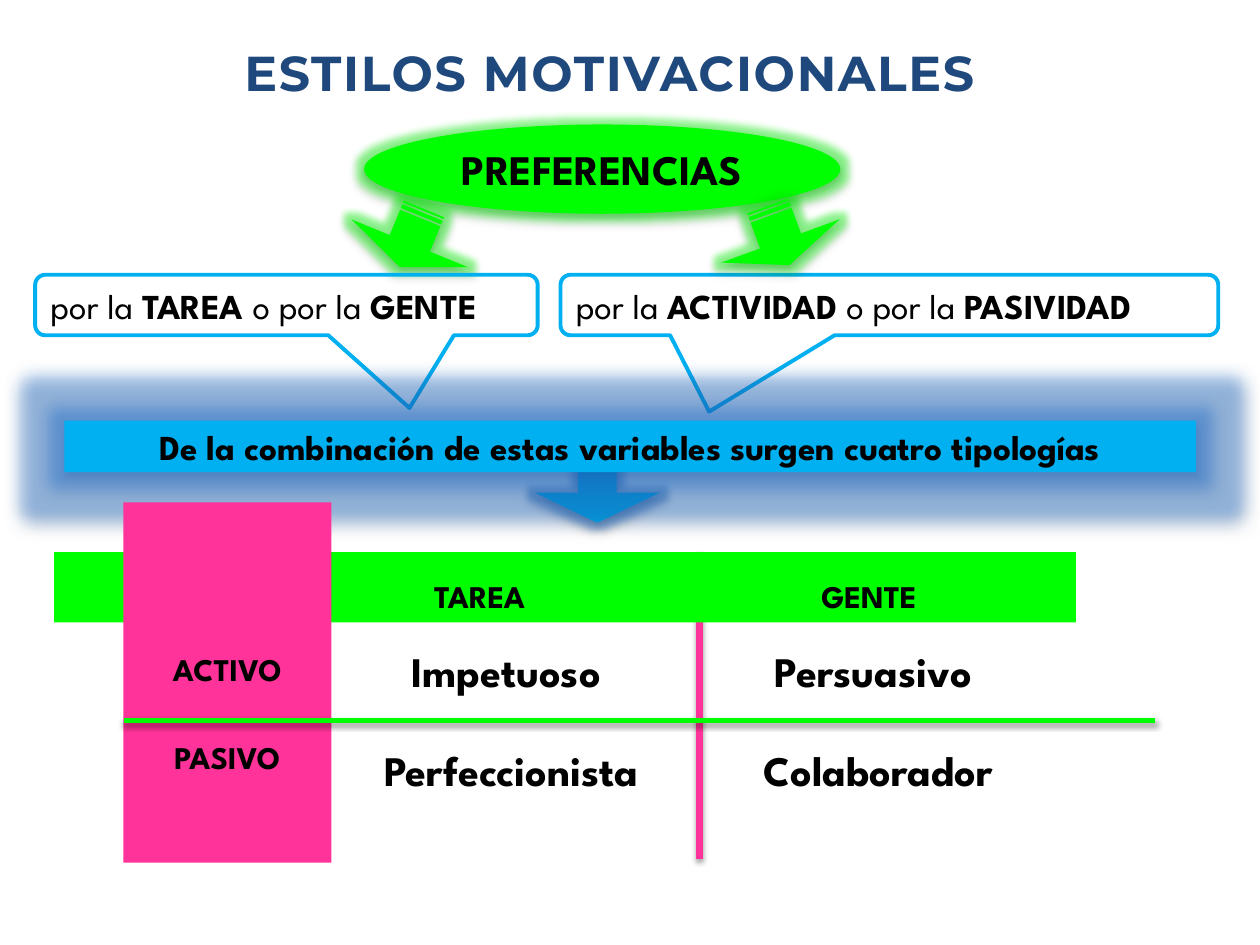
import pptx
import pptx.dml.color
import pptx.enum.shapes
import pptx.enum.text
import pptx.oxml
import pptx.oxml.ns
import pptx.util

Cm = pptx.util.Cm
Pt = pptx.util.Pt
SHAPE = pptx.enum.shapes.MSO_SHAPE
ANCHOR = pptx.enum.text.MSO_ANCHOR
ALIGN = pptx.enum.text.PP_ALIGN
COLORS = {"green": "00FF00", "blue": "00B0F0", "pink": "FF3399", "navy": "1F497D",
          "black": "000000", "blue glow": "1F6FCF"}


def rgb(name):
    return pptx.dml.color.RGBColor.from_string(COLORS[name])


def write(box, paragraphs, size=18, font="League Spartan", color="black",
          align=ALIGN.CENTER, anchor=ANCHOR.TOP, wrap=True, **spacing):
    """Fill a box; each paragraph is a list of (text, bold) spans."""
    frame = box.text_frame
    frame.word_wrap = wrap
    frame.vertical_anchor = anchor
    for index, spans in enumerate(paragraphs):
        paragraph = frame.add_paragraph() if index else frame.paragraphs[0]
        paragraph.alignment = align
        for name, value in spacing.items():
            if index or name != "space_before":
                setattr(paragraph, name, value)
        for text, bold in spans:
            span = paragraph.add_run()
            span.text = text
            for name, value in {"size": Pt(size), "name": font, "bold": bold}.items():
                setattr(span.font, name, value)
            span.font.color.rgb = rgb(color)


deck = pptx.Presentation()
deck.slide_width, deck.slide_height = Cm(25.4), Cm(19.05)
page = deck.slides.add_slide(deck.slide_layouts[6])
effects = []  # (shape, glow colour, glow radius, shadow blur, distance, opacity)

title = page.shapes.add_textbox(Cm(2.69), Cm(0.74), Cm(19.2), Cm(1.45))
write(title, [[("ESTILOS MOTIVACIONALES", True)]], 28, "Montserrat", "navy")
title.text_frame.paragraphs[0].runs[0].font._element.set("spc", "100")

# Preferences, arrows, callouts and the summary bar, from back to front
GLOWING = {"green": ("green", 8), "blue": ("blue glow", 8)}
STRIPED = SHAPE.STRIPED_RIGHT_ARROW
CALLOUT = SHAPE.ROUNDED_RECTANGULAR_CALLOUT
flow = [
    (SHAPE.OVAL, 7.34, 2.51, 9.6, 1.8, 0, [], "green", [("PREFERENCIAS", True)], 24),
    (STRIPED, 7.67, 3.53, 1.27, 2.54, 112.3, [0.345, 0.409], "green", [], 0),
    (STRIPED, 11.43, 8.66, 1.22, 2.54, 90, [0.306, 0.5], "blue", [], 0),
    (CALLOUT, 0.71, 5.54, 10.13, 1.22, 0, [0.245, 1.701, 0.167], None,
     [("por la ", False), ("TAREA ", True), ("o por la ", False), ("GENTE", True)], 20),
    (CALLOUT, 11.3, 5.54, 13.26, 1.22, 0, [-0.274, 1.762, 0.167], None,
     [("por la ", False), ("ACTIVIDAD", True), (" o por la ", False),
      ("PASIVIDAD", True)], 20),
    (SHAPE.RECTANGLE, 1.3, 8.48, 22.81, 1.04, 0, [], "blue",
     [("De la combinación de estas variables surgen cuatro tipologías", True)], 20),
    (STRIPED, 15.06, 3.48, 1.27, 2.54, 69.9, [0.345, 0.409], "green", [], 0),
]
for kind, left, top, width, height, turn, adjust, fill, spans, size in flow:
    shape = page.shapes.add_shape(kind, Cm(left), Cm(top), Cm(width), Cm(height))
    shape.shadow.inherit = False
    shape.rotation = turn
    for index, value in enumerate(adjust):
        shape.adjustments[index] = value
    if fill:
        shape.fill.solid()
        shape.fill.fore_color.rgb = rgb(fill)
        shape.line.fill.background()
        glow, radius = GLOWING[fill]
        effects.append((shape, glow, 18 if kind == SHAPE.RECTANGLE else radius,
                        3.5, 2.2, 32))
    else:
        shape.fill.background()
        shape.line.color.rgb = rgb("blue")
        shape.line.width = Pt(2.25)
    if spans:
        write(shape, [spans], size, anchor=ANCHOR.MIDDLE, wrap=bool(fill),
              align=ALIGN.CENTER if fill else ALIGN.LEFT)


# Matrix of the four types
def add_rule(color, width, *ends):
    rule = page.shapes.add_connector(pptx.enum.shapes.MSO_CONNECTOR.STRAIGHT,
                                     *[Cm(end) for end in ends])
    rule.line.color.rgb = rgb(color)
    rule.line.width = Pt(width)
    effects.append((rule, None, 0, 3.1, 1.8, 35))


add_rule("pink", 4.5, 14.1, 11.13, 14.1, 17.32)
for name, left, top, width in [("Impetuoso", 7.7, 12.73, 5),
                               ("Persuasivo", 14.1, 12.73, 7.01),
                               ("Perfeccionista", 6.71, 14.73, 7.19),
                               ("Colaborador", 14.3, 14.73, 6.81)]:
    box = page.shapes.add_textbox(Cm(left), Cm(top), Cm(width), Cm(1.33))
    write(box, [[(name, True)]], 24, line_spacing=1.15, space_after=Pt(10))

bands = []
for color, left, top, width, height in [("green", 1.09, 11.13, 20.6, 1.42),
                                        ("pink", 2.49, 10.13, 4.19, 7.26)]:
    band = page.shapes.add_shape(SHAPE.RECTANGLE, Cm(left), Cm(top), Cm(width), Cm(height))
    band.shadow.inherit = False
    band.fill.solid()
    band.fill.fore_color.rgb = rgb(color)
    band.line.fill.background()
    bands.append(band)
header, side = bands

tabs = pptx.oxml.parse_xml(f"<a:tabLst {pptx.oxml.ns.nsdecls('a')}>" + "".join(
    f'<a:tab pos="{Cm(stop)}" algn="ctr"/>' for stop in (8.33, 16.18)) + "</a:tabLst>")
header.text_frame.paragraphs[0]._p.get_or_add_pPr().append(tabs)
write(header, [[("\tTAREA\tGENTE", True)]], align=ALIGN.LEFT, line_spacing=1.5)

side.text_frame.margin_top = Cm(2.97)
write(side, [[("ACTIVO", True)], [("PASIVO", True)]], space_before=Pt(29))
add_rule("green", 3, 23.29, 14.53, 2.49, 14.53)

for shape, glow, radius, blur, distance, opacity in effects:
    properties = shape._element.spPr
    for old in properties.findall(pptx.oxml.ns.qn("a:effectLst")):
        properties.remove(old)
    halo = (f'<a:glow rad="{Pt(radius)}"><a:srgbClr val="{COLORS[glow]}">'
            '<a:alpha val="40000"/></a:srgbClr></a:glow>') if glow else ""
    properties.append(pptx.oxml.parse_xml(
        f"<a:effectLst {pptx.oxml.ns.nsdecls('a')}>{halo}"
        f'<a:outerShdw blurRad="{Pt(blur)}" dist="{Pt(distance)}" dir="5400000" '
        f'rotWithShape="0"><a:srgbClr val="{COLORS["black"]}">'
        f'<a:alpha val="{opacity * 1000}"/></a:srgbClr></a:outerShdw></a:effectLst>'))

deck.save("out.pptx")
